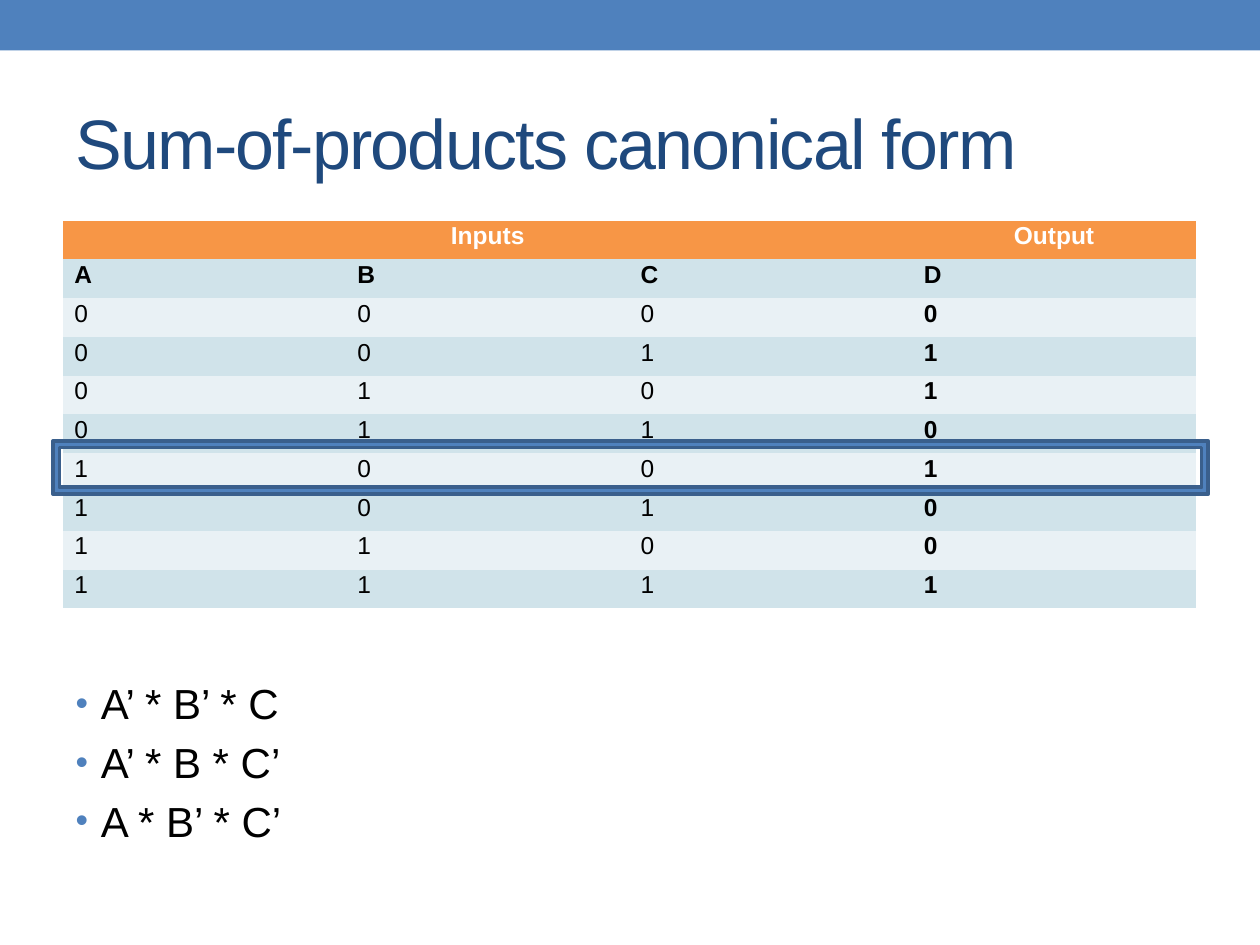
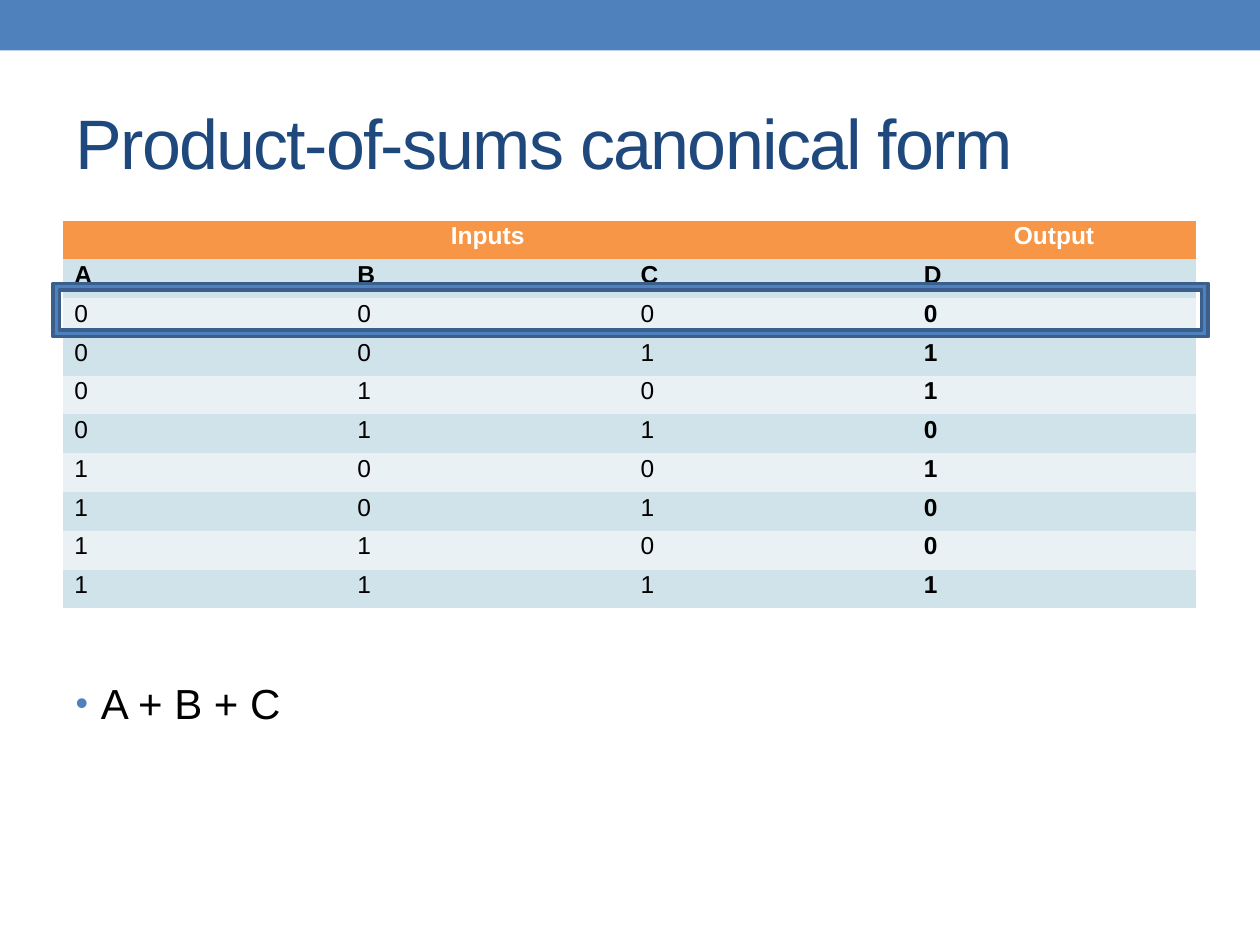
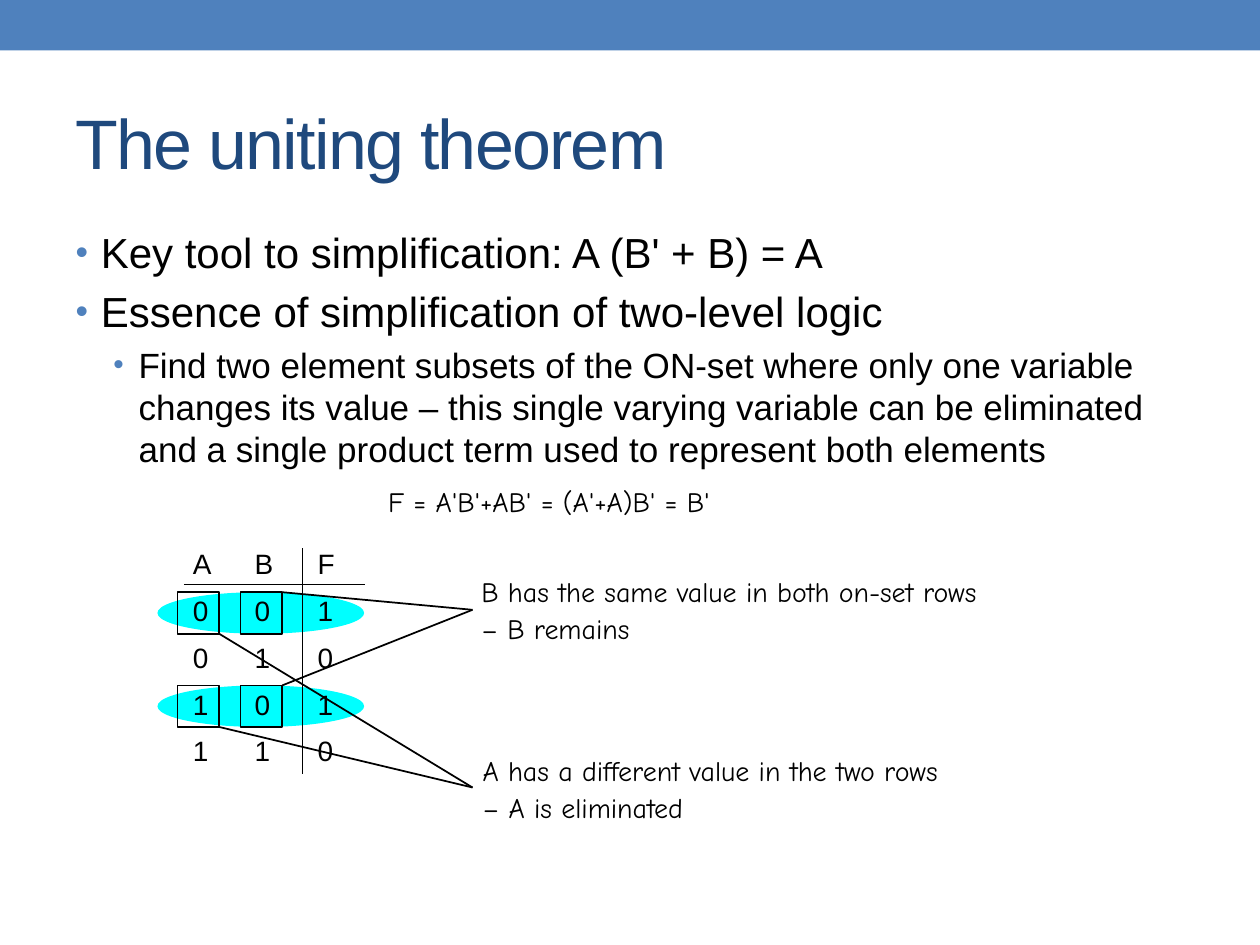
from itertools import product

from lxml.etree import SubElement
from pptx import Presentation
from pptx.dml.color import RGBColor
from pptx.enum.shapes import MSO_CONNECTOR, MSO_SHAPE
from pptx.enum.text import MSO_ANCHOR, MSO_AUTO_SIZE, PP_ALIGN
from pptx.oxml.ns import qn
from pptx.util import Inches, Pt

COLORS = {
    "band": "4F81BD", "title": "1F497D", "text": "000000", "white": "FFFFFF",
    "header": "F79646", "dark row": "D0E3EA", "light row": "E9F1F5",
    "frame line": "3A5F8C", "highlight": "00FFFF",
}
SANS, HAND = "Arial", "Comic Neue"
NO_TABLE_STYLE = "{2D5ABB26-0587-4C30-8999-92F81FD0307C}"

# Title, bullets, top of the frame around the highlighted table row
FORM_PAGES = [
    ("Sum-of-products canonical form",
     [(0, "A’ * B’ * C"), (0, "A’ * B * C’"), (0, "A * B’ * C’")], 3.5),
    ("Product-of-sums canonical form", [(0, "A + B + C")], 2.25),
]
OUTPUTS = "01101001"
TRUTH_ROWS = [["Inputs", "", "", "Output"], list("ABCD")] + [
    [*bits, output] for bits, output in zip(product("01", repeat=3), OUTPUTS)]

THEOREM_TITLE = "The uniting theorem"
THEOREM_BULLETS = [
    (0, "Key tool to simplification: A (B' + B) = A"),
    (0, "Essence of simplification of two-level logic"),
    (1, "Find two element subsets of the ON-set where only one variable changes "
        "its value – this single varying variable can be eliminated and a single "
        "product term used to represent both elements"),
]
SMALL_TABLE = ["A\tB\tF", "0\t0\t1", "0\t1\t0", "1\t0\t1", "1\t1\t0"]
TABLE_RULES = [(1.46, 4.64, 2.9, 4.64), (2.4, 4.35, 2.4, 6.14)]
HAND_NOTES = [
    ("F = A'B'+AB' = (A'+A)B' = B'", (3.06, 3.79, 3.69, 0.42)),
    ("B has the same value in both on-set rows\v– B remains", (3.8, 4.51, 5.08, 0.71)),
    ("A has a different value in the two rows\v– A is eliminated", (3.81, 5.93, 4.84, 0.71)),
]
ON_ROW_TOPS = (4.7, 5.44)
MARK_SIZE = 0.33
# Left of the marked column, drop of the line start below the mark top, line end
MARKED_COLUMNS = [(1.91, 0, (3.75, 4.84)), (1.41, MARK_SIZE, (3.75, 6.25))]
TAB_STOPS = (0.49, 0.99, 1.48)


def color(name):
    return RGBColor.from_string(COLORS[name])


def inches(values):
    return [Inches(value) for value in values]


def place(shape, box):
    for name, value in zip(("left", "top", "width", "height"), inches(box)):
        setattr(shape, name, value)


def style_para(para, size, font=SANS, ink="text", bold=False):
    for span in para.runs:
        for name, value in {"size": Pt(size), "name": font, "bold": bold}.items():
            setattr(span.font, name, value)
        span.font.color.rgb = color(ink)


def add_shape(page, kind, box, fill=None, line=None, line_width=1):
    shape = page.shapes.add_shape(kind, *inches(box))
    shape.shadow.inherit = False
    if fill:
        shape.fill.solid()
        shape.fill.fore_color.rgb = color(fill)
    else:
        shape.fill.background()
    if line:
        shape.line.color.rgb = color(line)
        shape.line.width = Pt(line_width)
    else:
        shape.line.fill.background()
    return shape


def add_line(page, ends):
    line = page.shapes.add_connector(MSO_CONNECTOR.STRAIGHT, *inches(ends))
    line.line.color.rgb = color("text")
    line.line.width = Pt(1)
    SubElement(line.element.spPr, qn("a:effectLst"))


def add_bullet(para, level):
    properties = para._p.get_or_add_pPr()
    properties.set("marL", str(Inches((0.2, 0.5)[level])))
    properties.set("indent", str(Inches(-0.2)))
    bullet_color = SubElement(properties, qn("a:buClr"))
    SubElement(bullet_color, qn("a:srgbClr"), val=COLORS["band"])
    SubElement(properties, qn("a:buSzPct"), val="85000")
    SubElement(properties, qn("a:buFont"), typeface=SANS)
    SubElement(properties, qn("a:buChar"), char="•")


def add_page(deck, title, bullets, body_top):
    page = deck.slides.add_slide(deck.slide_layouts[1])
    heading, body = page.placeholders
    place(heading, (0.5, 0.58, 9, 1.08))
    place(body, (0.5, body_top, 9, 7.08 - body_top))
    for shape in (heading, body):
        shape.text_frame.auto_size = MSO_AUTO_SIZE.NONE

    heading.text_frame.text = title
    heading.text_frame.vertical_anchor = MSO_ANCHOR.MIDDLE
    para = heading.text_frame.paragraphs[0]
    para.alignment = PP_ALIGN.LEFT
    style_para(para, 40, ink="title")
    para.runs[0].font._element.set("spc", "-100")

    body.text_frame.text = "\n".join(text for _, text in bullets)
    for para, (level, _) in zip(body.text_frame.paragraphs, bullets):
        para.level = level
        style_para(para, (24, 20)[level])
        add_bullet(para, level)
    return page


def add_master_band(deck, page):
    """Put the top band on the master, so that every page shows it."""
    band = add_shape(page, MSO_SHAPE.RECTANGLE, (0, 0, 10, 0.4), "band")
    band.element.nvSpPr.cNvPr.id = 99
    deck.slide_master.shapes.element.insert(2, band.element)


def add_truth_table(page):
    box = inches((0.5, 1.75, 8.99, 3.08))
    table = page.shapes.add_table(len(TRUTH_ROWS), 4, *box).table
    table.first_row = table.horz_banding = False
    table._tbl.tblPr.find(qn("a:tableStyleId")).text = NO_TABLE_STYLE
    for row, texts in enumerate(TRUTH_ROWS):
        fill = "header" if row == 0 else ("light row", "dark row")[row % 2]
        for column, text in enumerate(texts):
            cell = table.cell(row, column)
            cell.fill.solid()
            cell.fill.fore_color.rgb = color(fill)
            cell.margin_left = cell.margin_right = Inches(0.09)
            cell.margin_top = cell.margin_bottom = 0
            cell.text = text
            para = cell.text_frame.paragraphs[0]
            para.line_spacing = 1.07
            para.alignment = PP_ALIGN.LEFT if row else PP_ALIGN.CENTER
            style_para(para, 14, ink="text" if row else "white",
                       bold=row < 2 or column == 3)
    table.cell(0, 0).merge(table.cell(0, 2))


def add_text(page, lines, box, font, line_points, gap=0):
    frame = page.shapes.add_textbox(*inches(box)).text_frame
    frame.word_wrap = False
    frame.margin_left = frame.margin_right = Inches(0.02)
    frame.margin_top = frame.margin_bottom = Inches(0.03)
    for index, text in enumerate(lines):
        para = frame.add_paragraph() if index else frame.paragraphs[0]
        para.text = text
        para.line_spacing = Pt(line_points)
        para.space_before = Pt(gap if index else 0)
        style_para(para, 16, font)
        tabs = SubElement(para._p.get_or_add_pPr(), qn("a:tabLst"))
        for stop in TAB_STOPS:
            SubElement(tabs, qn("a:tab"), pos=str(Inches(stop)), algn="l")


def draw_theorem(page):
    for top in ON_ROW_TOPS:
        add_shape(page, MSO_SHAPE.OVAL, (1.25, top, 1.64, MARK_SIZE), "highlight")
    add_text(page, SMALL_TABLE, (1.51, 4.33, 1.48, 1.86), SANS, 17.8, gap=8.9)
    for ends in TABLE_RULES:
        add_line(page, ends)
    for (left, drop, target), top in product(MARKED_COLUMNS, ON_ROW_TOPS):
        add_shape(page, MSO_SHAPE.RECTANGLE, (left, top, MARK_SIZE, MARK_SIZE), line="text")
        add_line(page, (left + MARK_SIZE, top + drop, *target))
    for text, box in HAND_NOTES:
        add_text(page, [text], box, HAND, 20.8)


def main():
    deck = Presentation()
    deck.slide_width, deck.slide_height = Inches(10), Inches(7.5)
    for title, bullets, frame_top in FORM_PAGES:
        page = add_page(deck, title, bullets, 5.33)
        add_truth_table(page)
        add_shape(page, MSO_SHAPE.FRAME, (0.42, frame_top, 9.17, 0.42),
                  "band", "frame line", 2.08)
    page = add_page(deck, THEOREM_TITLE, THEOREM_BULLETS, 1.75)
    draw_theorem(page)
    add_master_band(deck, page)
    deck.save("out.pptx")


if __name__ == "__main__":
    main()
